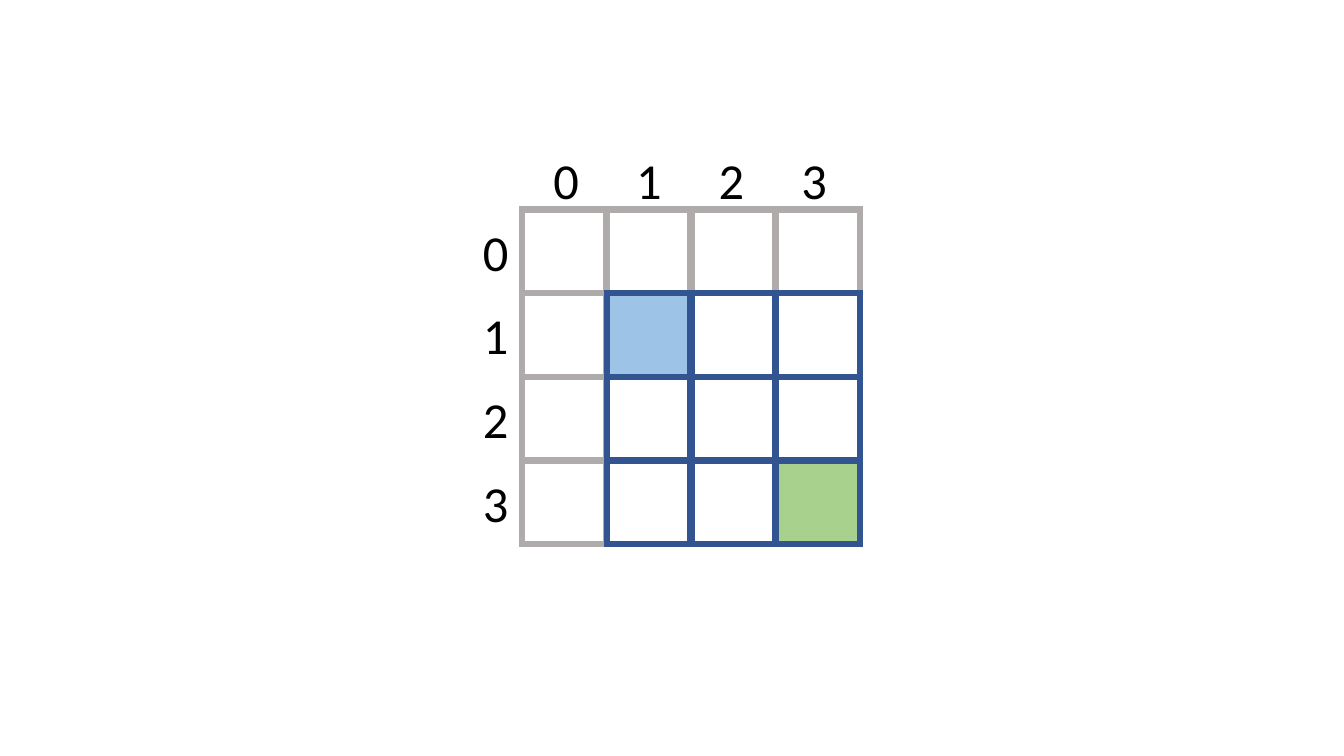
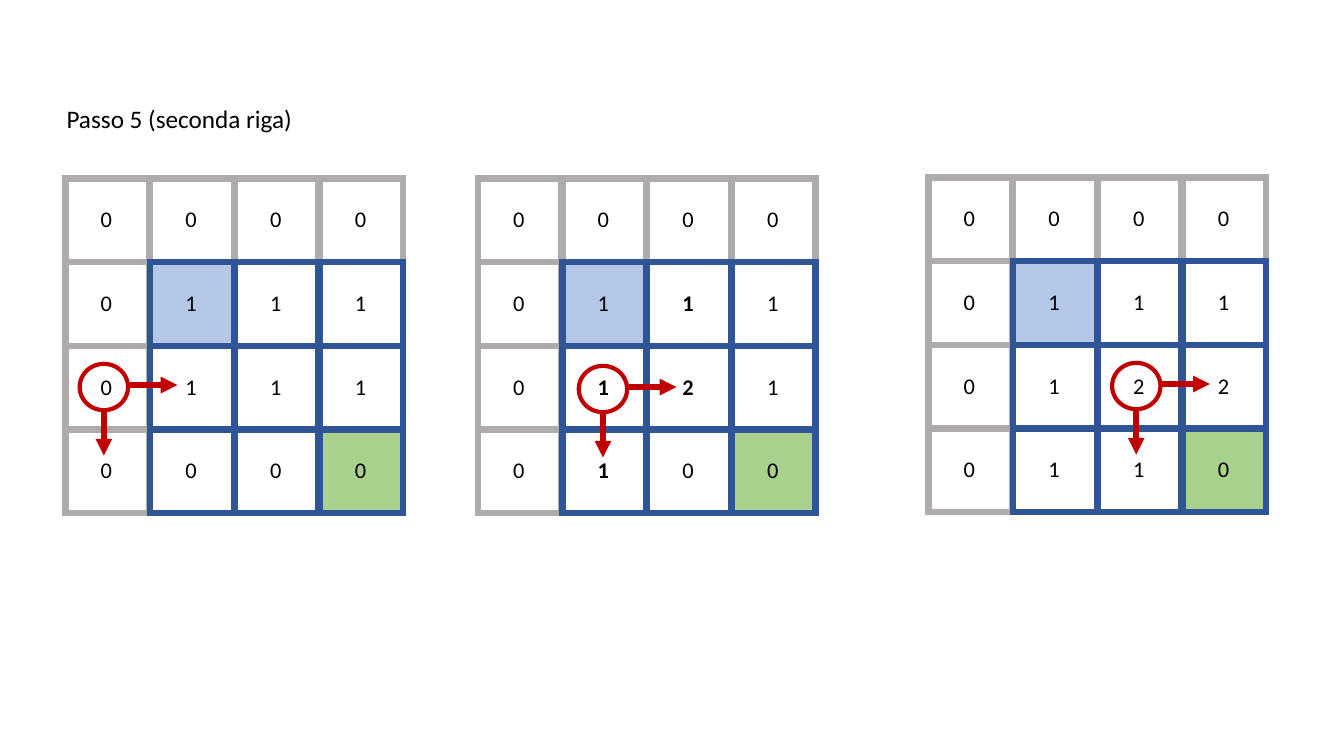
from lxml.etree import SubElement as sub
from pptx import Presentation
from pptx.dml.color import RGBColor as RGB
from pptx.enum.shapes import MSO_CONNECTOR as LINK, MSO_SHAPE as SHAPE
from pptx.enum.text import MSO_ANCHOR as ANCHOR, MSO_AUTO_SIZE as FIT, PP_ALIGN as ALIGN
from pptx.oxml.ns import qn
from pptx.util import Inches as inch, Pt

# Shared style
FONT = "Calibri"
BLACK = RGB(0x00, 0x00, 0x00)
GREY = RGB(0xAF, 0xAB, 0xAB)
NAVY = RGB(0x32, 0x54, 0x91)
BLUE = RGB(0x2F, 0x55, 0x97)
SKY = RGB(0x9D, 0xC3, 0xE6)
PALE = RGB(0xB4, 0xC7, 0xE7)
GREEN = RGB(0xA9, 0xD1, 0x8E)
RED = RGB(0xC0, 0x00, 0x00)

# Grid of each matrix
SIZE = 4
CELL = 0.83
STEP = 0.84
START, END = (1, 1), (3, 3)

# Matrices of the step: left, top, ringed column, ring shift, rows (* is bold)
BOARDS = [
    (0.65, 1.77, 0, 0, ["0 0 0 0", "0 1 1 1", "0 1 1 1", "0 0 0 0"]),
    (4.74, 1.77, 1, 0.02, ["0 0 0 0", "0 1 *1 1", "0 *1 *2 1", "0 *1 0 0"]),
    (9.21, 1.76, 2, 0, ["0 0 0 0", "0 1 1 1", "0 1 2 2", "0 1 1 0"]),
]


def place(shape, left, top, width, height):
    shape.left, shape.top = inch(left), inch(top)
    shape.width, shape.height = inch(width), inch(height)


def write(shape, text, size=16, bold=False, tabs=()):
    frame = shape.text_frame
    frame.word_wrap = True
    frame.auto_size = FIT.SHAPE_TO_FIT_TEXT
    frame.vertical_anchor = ANCHOR.TOP
    para = frame.paragraphs[0]
    para.alignment = ALIGN.LEFT
    run = para.add_run()
    run.text = text
    font = run.font
    font.name, font.size, font.bold = FONT, Pt(size), bold
    font.color.rgb = BLACK
    if tabs:
        stops = sub(para._p.get_or_add_pPr(), qn("a:tabLst"))
        for stop in tabs:
            sub(stops, qn("a:tab"), pos=str(inch(stop)), algn="l")


def label(slide, text, left, top, width, height, **style):
    box = slide.shapes.add_textbox(0, 0, 0, 0)
    place(box, left, top, width, height)
    write(box, text, **style)


def stroke(shape, color, width):
    shape.line.color.rgb = color
    shape.line.width = Pt(width)
    return shape.element.spPr.find(qn("a:ln"))


def outline(shapes, kind, left, top, width, height, color, weight, fill=None):
    shape = shapes.add_shape(kind, 0, 0, 0, 0)
    place(shape, left, top, width, height)
    shape.shadow.inherit = False
    if fill is None:
        shape.fill.background()
    else:
        shape.fill.solid()
        shape.fill.fore_color.rgb = fill
    sub(stroke(shape, color, weight), qn("a:miter"), lim="800000")


def arrow(shapes, *ends):
    link = shapes.add_connector(LINK.STRAIGHT, *map(inch, ends))
    sub(stroke(link, RED, 4), qn("a:tailEnd"), type="triangle")
    sub(link.element.spPr, qn("a:effectLst"))


def matrix(slide, left, top, edge, first):
    fills = {START: first, END: GREEN}
    for row in range(SIZE):
        for col in range(SIZE):
            color = edge if row and col else GREY
            outline(slide.shapes, SHAPE.RECTANGLE, left + col * STEP,
                    top + row * CELL, CELL, CELL, color, 4.5,
                    fills.get((row, col)))


def digits(slide, left, top, rows):
    for row, line in enumerate(rows):
        for col, item in enumerate(line.split()):
            label(slide, item.strip("*"), left + 0.25 + col * STEP,
                  top + 0.22 + row * CELL, 0.48, 0.37,
                  bold=item.startswith("*"))


def ring(slide, left, top):
    shapes = slide.shapes.add_group_shape().shapes
    wide, high = 0.48, 0.46
    outline(shapes, SHAPE.OVAL, left, top, wide, high, RED, 3)
    mid = top + 0.21
    arrow(shapes, left + wide, mid, left + wide + 0.49, mid)
    mid = left + wide / 2
    arrow(shapes, mid, top + high, mid, top + high + 0.45)


def index(deck):
    slide = deck.slides.add_slide(deck.slide_layouts[6])
    left, top = 5.18, 2.08
    matrix(slide, left, top, NAVY, SKY)
    names = [str(num) for num in range(SIZE)]
    label(slide, "\t".join(names), left + 0.21, top - 0.65, 3.73, 0.71,
          size=36, tabs=[num * 0.82 for num in range(1, SIZE)])
    for row, name in enumerate(names):
        label(slide, name, left - 0.49, top + 0.06 + row * CELL, 0.48, 0.71,
              size=36)


def step(deck):
    slide = deck.slides.add_slide(deck.slide_layouts[5])
    title = slide.shapes.title
    place(title, 0.56, 0.97, 2.6, 0.4)
    write(title, "Passo 5 (seconda riga)", size=18)
    for left, top, col, shift, rows in BOARDS:
        matrix(slide, left, top, BLUE, PALE)
        digits(slide, left, top, rows)
        ring(slide, left + col * STEP + 0.14 + shift,
             top + 2 * CELL + 0.18 + shift)


def main():
    deck = Presentation()
    deck.slide_width, deck.slide_height = inch(13.33), inch(7.5)
    index(deck)
    step(deck)
    deck.save("out.pptx")


main()
